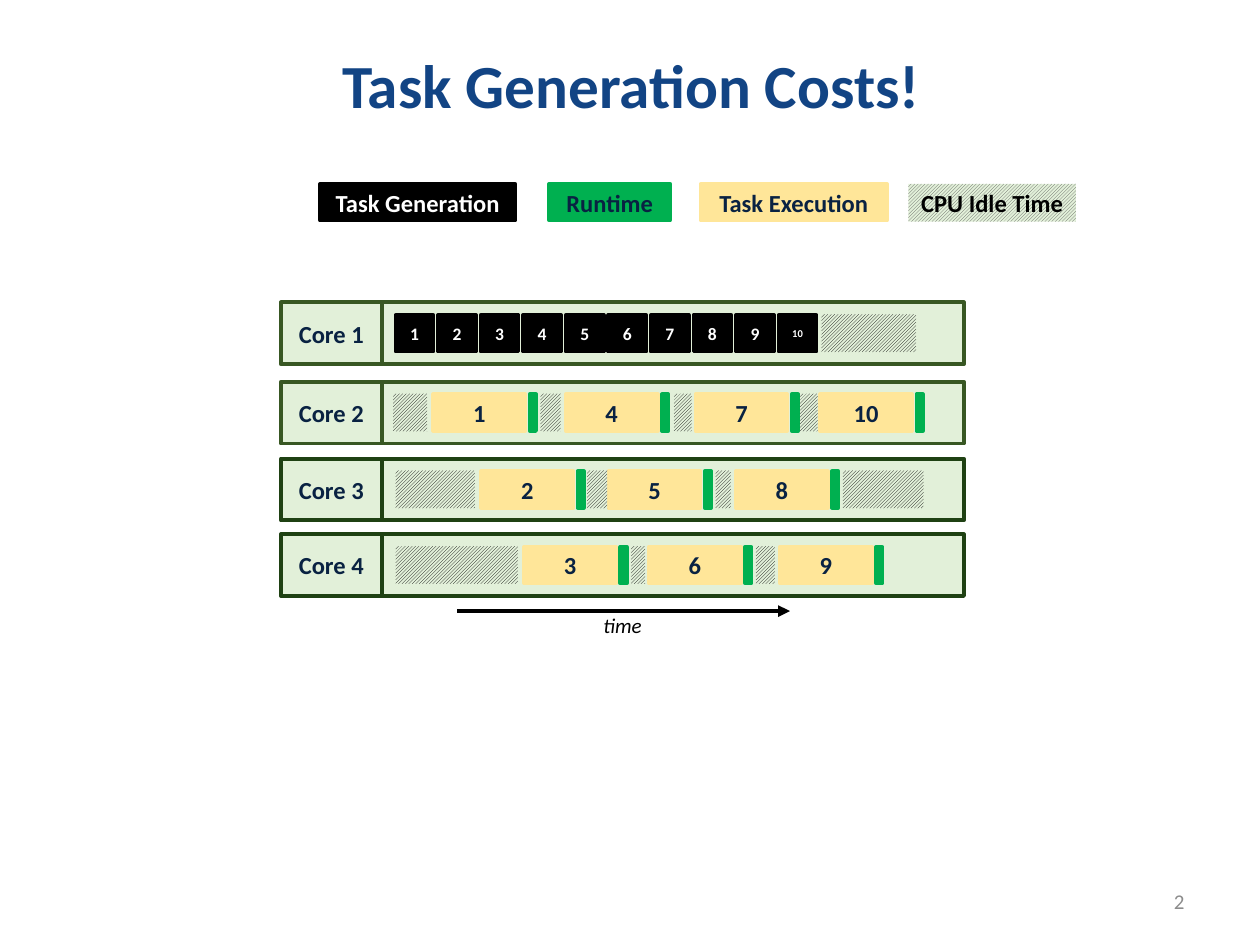
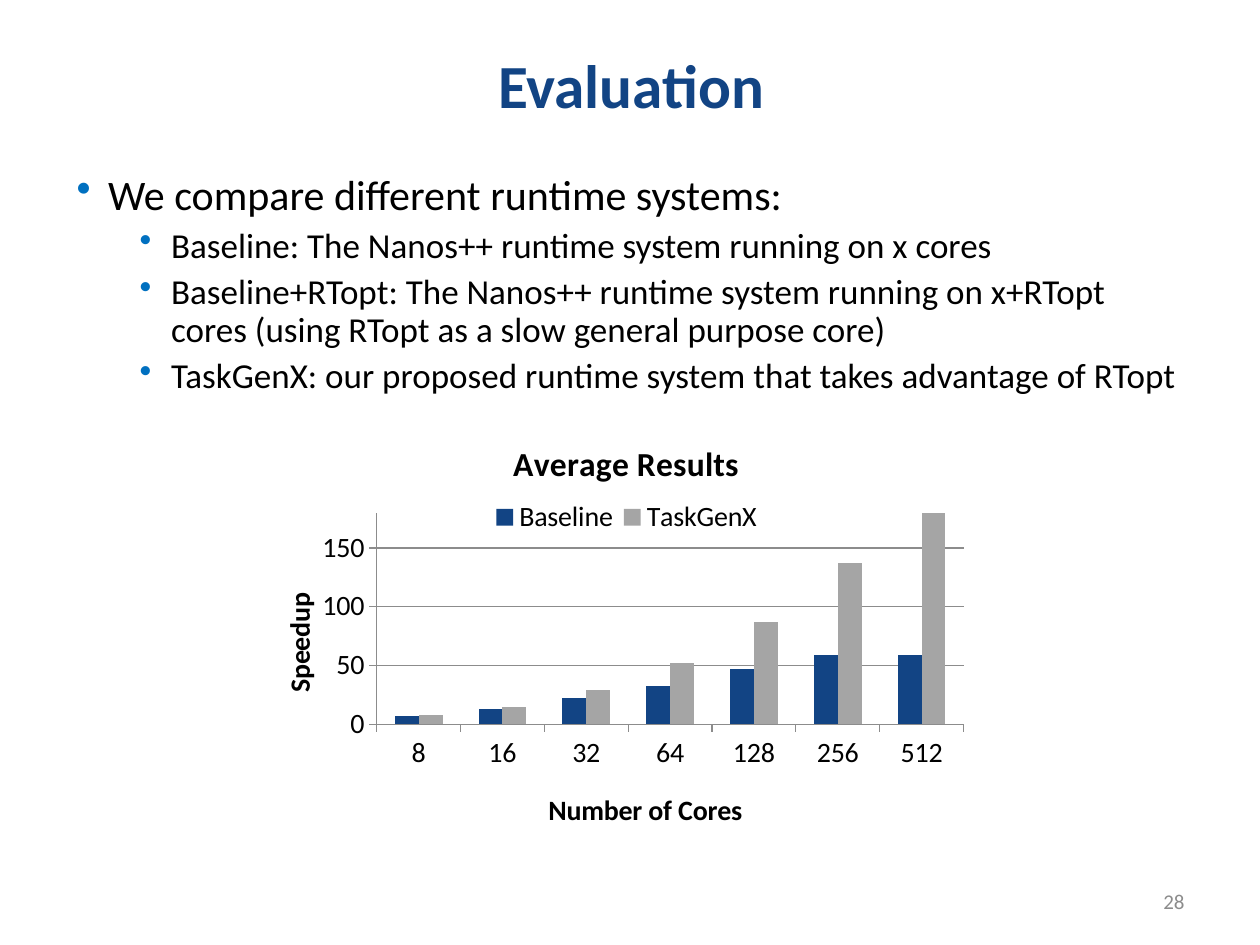
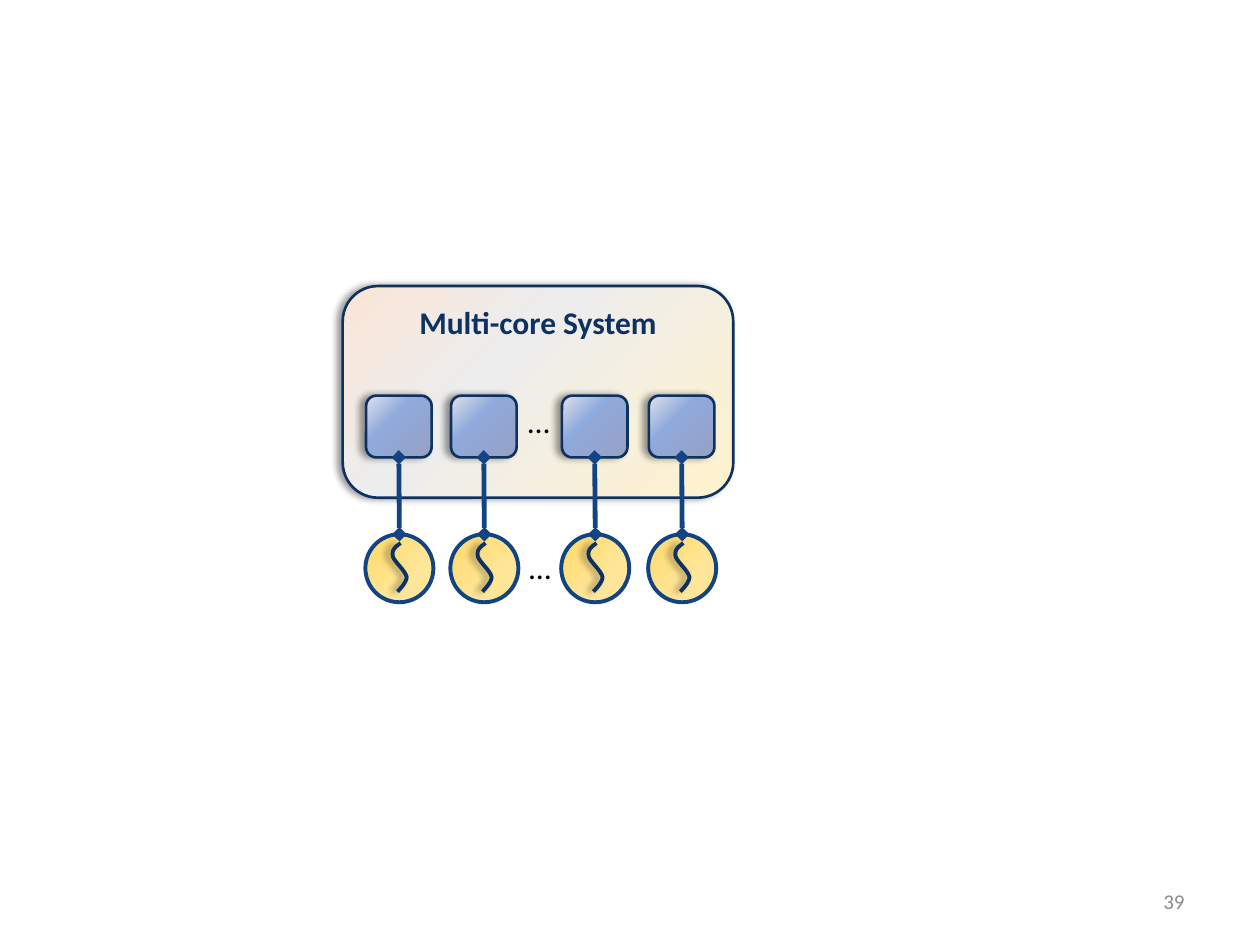
import pptx
import pptx.chart.data
import pptx.dml.color
import pptx.enum.chart
import pptx.enum.dml
import pptx.enum.shapes
import pptx.enum.text
import pptx.oxml.ns
import pptx.oxml.xmlchemy
import pptx.util

Pt = pptx.util.Pt
RGBColor = pptx.dml.color.RGBColor
PP_ALIGN = pptx.enum.text.PP_ALIGN
MSO_ANCHOR = pptx.enum.text.MSO_ANCHOR
MSO_SHAPE = pptx.enum.shapes.MSO_SHAPE
MSO_CONNECTOR = pptx.enum.shapes.MSO_CONNECTOR
OxmlElement = pptx.oxml.xmlchemy.OxmlElement
qn = pptx.oxml.ns.qn

FONT = "Calibri"
BLACK = RGBColor(0x00, 0x00, 0x00)
WHITE = RGBColor(0xFF, 0xFF, 0xFF)
BLUE = RGBColor(0x12, 0x44, 0x84)
NAVY = RGBColor(0x0D, 0x32, 0x62)
INK = RGBColor(0x09, 0x22, 0x42)
BULLET_BLUE = RGBColor(0x00, 0x70, 0xC0)
GRAY = RGBColor(0x8C, 0x8C, 0x8C)
DARK_GRAY = RGBColor(0x59, 0x59, 0x59)
SILVER = RGBColor(0xA5, 0xA5, 0xA5)
PALE_GREEN = RGBColor(0xE2, 0xF0, 0xD9)
OLIVE = RGBColor(0x38, 0x57, 0x23)
FOREST = RGBColor(0x1F, 0x41, 0x13)
GREEN = RGBColor(0x00, 0xB0, 0x50)
YELLOW = RGBColor(0xFF, 0xE6, 0x99)
GOLD = RGBColor(0xFF, 0xD9, 0x66)

PANEL_STOPS = ((0, RGBColor(0xFF, 0xF2, 0xCC)), (62, RGBColor(0xED, 0xED, 0xED)),
               (100, RGBColor(0xFB, 0xE5, 0xD6)))
CORE_STOPS = ((0, RGBColor(0x98, 0xA1, 0xC2)), (62, RGBColor(0x8F, 0xAA, 0xDC)),
              (100, RGBColor(0xE1, 0xE3, 0xEB)))
THREAD_STOPS = ((0, YELLOW), (35, YELLOW), (100, GOLD))

BLOCK_H = 20.88
IDLE_H = 21.6

CORES = (
    ("Core 1", 172.8, OLIVE, (), ((469.44, 54),)),
    ("Core 2", 218.16, OLIVE,
     (("1", 247.68), ("4", 323.28), ("7", 397.44), ("10", 468.72)),
     ((224.64, 19.44), (308.88, 11.52), (385.2, 10.08), (457.2, 10.08))),
    ("Core 3", 262.08, FOREST,
     (("2", 275.04), ("5", 347.76), ("8", 420.48)),
     ((226.08, 45.36), (335.52, 11.52), (408.96, 8.64), (481.68, 46.08))),
    ("Core 4", 305.28, FOREST,
     (("3", 299.52), ("6", 370.8), ("9", 445.68)),
     ((226.08, 69.84), (360.72, 7.92), (432, 10.8))),
)

LANES = (209.2, 257.76, 321.12, 370.8)
THREAD_START = (20.16, 5.04)
THREAD_CURVES = (
    ((17.28, 7.2), (15.12, 8.64), (15.6, 12.24)),
    ((15.84, 15.12), (23.04, 20.88), (23.6, 24.48)),
    ((23.76, 27.36), (19.44, 31.68), (18.4, 32.8)),
)


def write(tf, text, size=14, color=BLACK, bold=False, italic=False,
          align=PP_ALIGN.LEFT, spacing=None, before=None, indent=None):
    p = tf.paragraphs[0]
    if p.runs:
        p = tf.add_paragraph()
    p.alignment = align
    if indent is not None:
        add_bullet(p, indent)
    if spacing:
        p.line_spacing = spacing
    if before:
        p.space_before = Pt(before)
    r = p.add_run()
    r.text = text
    r.font.name = FONT
    r.font.size = Pt(size)
    r.font.bold = bold
    r.font.italic = italic
    r.font.color.rgb = color


def add_xml(parent, tag, **attributes):
    element = OxmlElement(tag)
    for key, value in attributes.items():
        element.set(key, str(value))
    parent.append(element)
    return element


def add_bullet(p, indent):
    pPr = p._p.get_or_add_pPr()
    pPr.set("marL", str(Pt(indent)))
    pPr.set("indent", str(-Pt(18)))
    color = add_xml(pPr, "a:buClr")
    add_xml(color, "a:srgbClr", val=BULLET_BLUE)
    add_xml(pPr, "a:buChar", char="•")


def add_text_box(slide, left, top, width, height, anchor=MSO_ANCHOR.TOP, wrap=True):
    tf = slide.shapes.add_textbox(Pt(left), Pt(top), Pt(width), Pt(height)).text_frame
    tf.word_wrap = wrap
    tf.vertical_anchor = anchor
    return tf


def add_title(slide, text):
    tf = add_text_box(slide, 36.72, 17.28, 648, 66.24, MSO_ANCHOR.MIDDLE)
    write(tf, text, size=35, color=BLUE, bold=True, align=PP_ALIGN.CENTER, spacing=0.9)


def add_page_number(slide, number):
    tf = add_text_box(slide, 516.24, 500.4, 167.76, 28.8, MSO_ANCHOR.MIDDLE)
    write(tf, str(number), size=12, color=GRAY, align=PP_ALIGN.RIGHT)


def set_line(sp, color, width):
    sp.line.color.rgb = color
    sp.line.width = Pt(width)


def add_block(slide, left, top, width, height, fill, line, text="", size=14, color=INK):
    sp = slide.shapes.add_shape(MSO_SHAPE.RECTANGLE, Pt(left), Pt(top), Pt(width), Pt(height))
    sp.shadow.inherit = False
    sp.fill.solid()
    sp.fill.fore_color.rgb = fill
    set_line(sp, line, 2.25)
    label_block(sp, text, size, color)


def label_block(sp, text, size, color):
    if text:
        tf = sp.text_frame
        tf.margin_left = tf.margin_right = tf.margin_top = tf.margin_bottom = 0
        tf.vertical_anchor = MSO_ANCHOR.MIDDLE
        write(tf, text, size=size, color=color, bold=True, align=PP_ALIGN.CENTER)


def add_idle(slide, left, top, width, hatch=BLACK, text=""):
    sp = slide.shapes.add_shape(MSO_SHAPE.RECTANGLE, Pt(left), Pt(top), Pt(width), Pt(IDLE_H))
    sp.shadow.inherit = False
    sp.fill.patterned()
    sp.fill.pattern = pptx.enum.dml.MSO_PATTERN.DARK_UPWARD_DIAGONAL
    sp.fill.fore_color.rgb = hatch
    sp.fill.back_color.rgb = PALE_GREEN
    sp.line.fill.background()
    label_block(sp, text, 14, BLACK)


def add_core_row(slide, name, top, border, tasks, idles):
    add_block(slide, 218.16, top, 332.64, 35.28, PALE_GREEN, border)
    add_block(slide, 160.56, top, 57.6, 35.28, PALE_GREEN, border, name)
    for task, left in tasks:
        add_block(slide, left, top + 7.2, 52.56, BLOCK_H, YELLOW, YELLOW, task)
        add_block(slide, left + 55, top + 7.2, 3.6, BLOCK_H, GREEN, GREEN)
    for left, width in idles:
        add_idle(slide, left, top + 6.8, width)


def set_gradient(sp, stops):
    sp.fill.gradient()
    sp.fill.gradient_angle = 135
    stop_list = sp._element.spPr.find(".//" + qn("a:gsLst"))
    for stop in list(stop_list):
        stop_list.remove(stop)
    for position, color in stops:
        stop = add_xml(stop_list, "a:gs", pos=position * 1000)
        add_xml(stop, "a:srgbClr", val=color)


def add_shadow(sp):
    sp.shadow.inherit = False
    effects = sp._element.spPr.find(qn("a:effectLst"))
    shadow = add_xml(effects, "a:outerShdw", blurRad=Pt(4), dist=Pt(3), dir=180 * 60000,
                     algn="r", rotWithShape=0)
    color = add_xml(shadow, "a:srgbClr", val=BLACK)
    add_xml(color, "a:alpha", val=40000)


def add_gradient_shape(slide, kind, left, top, width, height, stops, line, line_width, shadow=True):
    sp = slide.shapes.add_shape(kind, Pt(left), Pt(top), Pt(width), Pt(height))
    set_gradient(sp, stops)
    set_line(sp, line, line_width)
    if shadow:
        add_shadow(sp)
    else:
        sp.shadow.inherit = False
    return sp


def add_connector(slide, start, end, width, color, **ends):
    cxn = slide.shapes.add_connector(
        MSO_CONNECTOR.STRAIGHT, *(Pt(value) for value in (*start, *end)))
    set_line(cxn, color, width)
    ln = cxn.line._get_or_add_ln()
    for side in ("head", "tail"):
        if side in ends:
            add_xml(ln, f"a:{side}End", type=ends[side])
    add_xml(cxn._element.spPr, "a:effectLst")
    return cxn


def curve_points(start, curves, steps=8):
    points = [start]
    for c1, c2, end in curves:
        origin = points[-1]
        for step in range(1, steps + 1):
            t = step / steps
            u = 1 - t
            points.append(tuple(
                u**3 * a + 3 * u * u * t * b + 3 * u * t * t * c + t**3 * d
                for a, b, c, d in zip(origin, c1, c2, end)))
    return points


def add_thread(slide, left, top):
    circle = add_gradient_shape(slide, MSO_SHAPE.OVAL, left, top, 38.88, 38.88,
                                THREAD_STOPS, BLUE, 2.25, shadow=False)
    points = [(Pt(left + x), Pt(top + y)) for x, y in curve_points(THREAD_START, THREAD_CURVES)]
    builder = slide.shapes.build_freeform(*points[0])
    builder.add_line_segments(points[1:], close=False)
    sp = builder.convert_to_shape()
    sp.fill.background()
    set_line(sp, NAVY, 2.25)
    add_shadow(sp)
    return circle


def add_lane(slide, left):
    core = add_gradient_shape(slide, MSO_SHAPE.ROUNDED_RECTANGLE, left, 226.08, 37.44, 35.28,
                              CORE_STOPS, NAVY, 1.5)
    thread = add_thread(slide, left - 0.4, 305.28)
    cxn = add_connector(slide, (left, 261.36), (left, 305.28), 2.75, BLUE,
                        head="diamond", tail="diamond")
    cxn.begin_connect(core, 2)
    cxn.end_connect(thread, 0)


def set_layout(parent, inner=False, **place):
    for old in parent.findall(qn("c:layout")):
        parent.remove(old)
    overlay = parent.find(qn("c:overlay"))
    layout = OxmlElement("c:layout")
    parent.insert(0 if overlay is None else parent.index(overlay), layout)
    manual = add_xml(layout, "c:manualLayout")
    if inner:
        add_xml(manual, "c:layoutTarget", val="inner")
    for key in ("x", "y"):
        add_xml(manual, f"c:{key}Mode", val="edge")
    for key, value in place.items():
        add_xml(manual, f"c:{key}", val=value)


def style_axis(axis, title, x, y):
    axis.major_tick_mark = pptx.enum.chart.XL_TICK_MARK.OUTSIDE
    axis.minor_tick_mark = pptx.enum.chart.XL_TICK_MARK.NONE
    axis.format.line.color.rgb = GRAY
    write(axis.axis_title.text_frame, title, size=16, bold=True, align=PP_ALIGN.CENTER)
    set_layout(axis.axis_title._element, x=x, y=y)


def add_speedup_chart(slide):
    data = pptx.chart.data.CategoryChartData()
    data.categories = ["8", "16", "32", "64", "128", "256", "512"]
    data.add_series("Baseline", (7, 13, 22, 33, 47, 59, 59))
    data.add_series("TaskGenX", (8, 15, 29, 52, 87, 137, 183))
    chart = slide.shapes.add_chart(
        pptx.enum.chart.XL_CHART_TYPE.COLUMN_CLUSTERED,
        Pt(149.04), Pt(232.56), Pt(414), Pt(252), data).chart
    chart.font.name = FONT
    chart.font.size = Pt(16)
    chart.font.color.rgb = BLACK

    chart.has_title = True
    write(chart.chart_title.text_frame, "Average Results", size=19.2, bold=True,
          align=PP_ALIGN.CENTER)
    set_layout(chart.chart_title._element, x=0.34, y=0.06)

    chart.has_legend = True
    chart.legend.position = pptx.enum.chart.XL_LEGEND_POSITION.TOP
    chart.legend.include_in_layout = False
    set_layout(chart.legend._element, x=0.31, y=0.21, w=0.39, h=0.08)

    style_axis(chart.category_axis, "Number of Cores", 0.39, 0.86)
    axis = chart.value_axis
    style_axis(axis, "Speedup", 0.02, 0.41)
    body = axis.axis_title.text_frame._txBody.bodyPr
    body.set("rot", "-5400000")
    body.set("vert", "horz")
    axis.minimum_scale = 0
    axis.maximum_scale = 180
    axis.major_unit = 50
    axis.has_major_gridlines = True
    axis.major_gridlines.format.line.color.rgb = GRAY

    plot = chart.plots[0]
    plot.gap_width = 150
    plot.overlap = 0
    plot.vary_by_categories = False
    for series, color in zip(plot.series, (BLUE, SILVER)):
        series.format.fill.solid()
        series.format.fill.fore_color.rgb = color
    set_layout(chart._chartSpace.chart.plotArea, inner=True, x=0.16, y=0.24, w=0.81, h=0.48)


def build_task_generation(slide):
    add_title(slide, "Task Generation Costs!")
    for core in CORES:
        add_core_row(slide, *core)
    for i in range(10):
        add_block(slide, 226.08 + i * 24.32, 180, 21.6, BLOCK_H, BLACK, BLACK,
                  str(i + 1), 10 if i < 9 else 6, WHITE)
    tf = add_text_box(slide, 337.68, 346.32, 37.44, 21.6, wrap=False)
    write(tf, "time", size=12, italic=True)
    add_connector(slide, (261.36, 349.2), (451.44, 349.2), 2.25, BLACK, tail="triangle")
    for text, left, width, fill, color in (
            ("Task Generation", 182.88, 111.6, BLACK, WHITE),
            ("Runtime", 313.92, 69.12, GREEN, INK),
            ("Task Execution", 400.32, 106.56, YELLOW, INK)):
        add_block(slide, left, 105.12, width, BLOCK_H, fill, fill, text, color=color)
    add_idle(slide, 519.12, 105.12, 95.76, DARK_GRAY, "CPU Idle Time")


def build_evaluation(slide):
    add_title(slide, "Evaluation")
    tf = add_text_box(slide, 36.72, 95.76, 648, 380.88)
    write(tf, "We compare different runtime systems:", size=24, spacing=0.9, indent=18)
    for text in (
            "Baseline: The Nanos++ runtime system running on x cores",
            "Baseline+RTopt: The Nanos++ runtime system running on x+RTopt cores "
            "(using RTopt as a slow general purpose core)",
            "TaskGenX: our proposed runtime system that takes advantage of RTopt"):
        write(tf, text, size=20, spacing=0.9, before=5, indent=54)
    add_speedup_chart(slide)


def build_multicore(slide):
    panel = add_gradient_shape(slide, MSO_SHAPE.ROUNDED_RECTANGLE, 195.84, 163.44, 223.2, 120.96,
                               PANEL_STOPS, NAVY, 1.5)
    panel.text_frame.vertical_anchor = MSO_ANCHOR.TOP
    write(panel.text_frame, "Multi-core System", size=18, color=NAVY, bold=True,
          align=PP_ALIGN.CENTER)
    for left in LANES:
        add_lane(slide, left)
    for left, top in ((294.48, 226.08), (295.2, 309.6)):
        write(add_text_box(slide, left, top, 27.36, 28.8, wrap=False), "…", size=18)


def main():
    prs = pptx.Presentation()
    prs.slide_width = Pt(720)
    prs.slide_height = Pt(540)
    for build, number in ((build_task_generation, 2), (build_evaluation, 28),
                          (build_multicore, 39)):
        slide = prs.slides.add_slide(prs.slide_layouts[6])
        build(slide)
        add_page_number(slide, number)
    prs.save("out.pptx")


if __name__ == "__main__":
    main()
